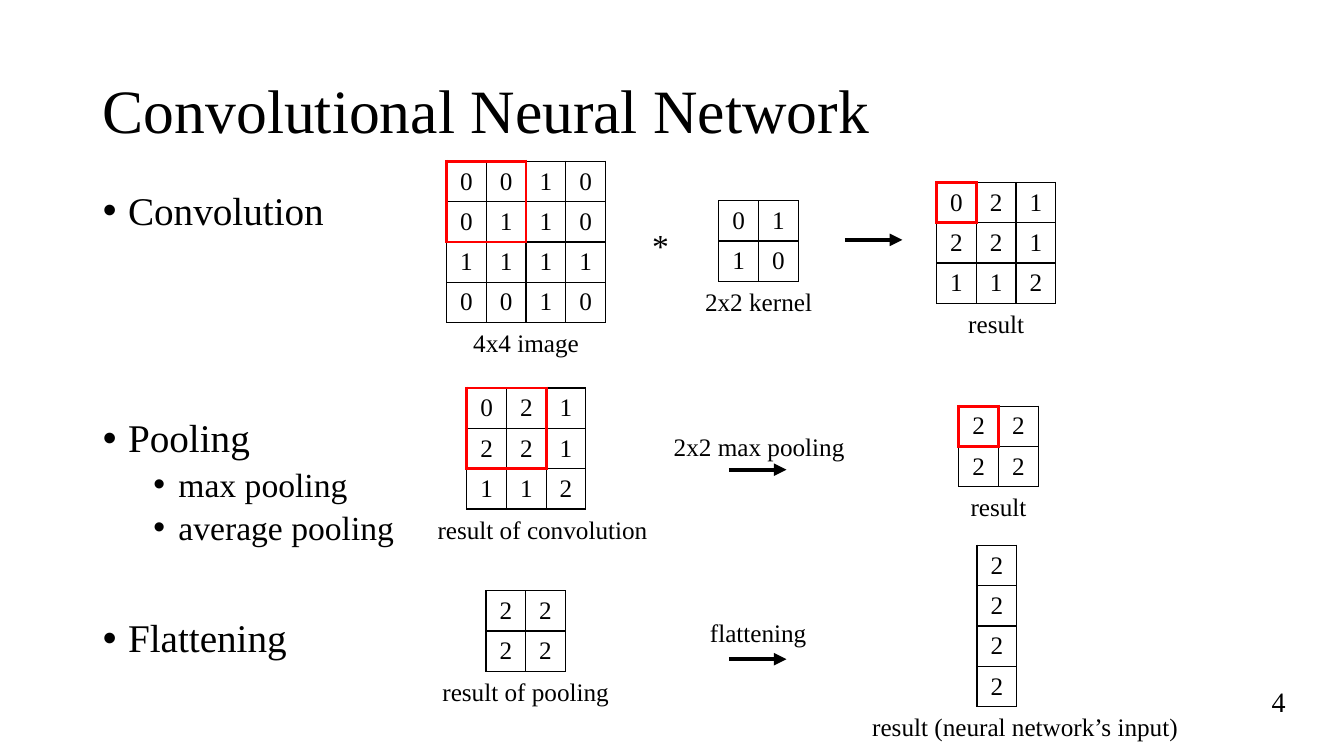
from lxml import etree
from pptx import Presentation
from pptx.dml.color import RGBColor
from pptx.enum.shapes import MSO_CONNECTOR
from pptx.enum.text import MSO_ANCHOR, MSO_AUTO_SIZE, PP_ALIGN
from pptx.oxml.ns import qn
from pptx.util import Inches, Pt

LEFT, CENTER, RIGHT = PP_ALIGN.LEFT, PP_ALIGN.CENTER, PP_ALIGN.RIGHT
TOP, MIDDLE = MSO_ANCHOR.TOP, MSO_ANCHOR.MIDDLE
NO_FIT = MSO_AUTO_SIZE.NONE
STRAIGHT = MSO_CONNECTOR.STRAIGHT
FONT, BLACK, RED = "Times New Roman", "000000", "FF0000"
SLIDE_W, SLIDE_H = 13.33, 7.5
CELL_W, CELL_H = 0.394, 0.4
LABEL_H, ARROW_W = 0.4, 0.57

IMAGE = ["0010", "0110", "1111", "0010"]
KERNEL = ["01", "10"]
CONVOLVED = ["021", "221", "112"]
POOLED = ["22", "22"]
FLAT = ["2"] * 4


def rgb(color):
    """Turn a hex string into a colour."""
    return RGBColor.from_string(color)


def add_run(p, text, size):
    """Add one run in the slide's font."""
    r = p.add_run()
    r.text = text
    r.font.name, r.font.size = FONT, Pt(size)
    r.font.bold = False
    r.font.color.rgb = rgb(BLACK)


def add_label(s, text, box, size=18, align=CENTER, anchor=TOP):
    """Write one line of text in a box."""
    sp = s.shapes.add_textbox(*map(Inches, box))
    tf = sp.text_frame
    tf.word_wrap, tf.vertical_anchor = False, anchor
    tf.paragraphs[0].alignment = align
    add_run(tf.paragraphs[0], text, size)


def add_borders(cell, color, width):
    """Draw the four borders of a cell."""
    tc_pr = cell._tc.get_or_add_tcPr()
    for i, side in enumerate(("lnL", "lnR", "lnT", "lnB")):
        ln = etree.Element(qn(f"a:{side}"), w=str(Pt(width)))
        fill = etree.SubElement(ln, qn("a:solidFill"))
        etree.SubElement(fill, qn("a:srgbClr"), val=color)
        tc_pr.insert(i, ln)


def add_grid(s, rows, left, top, cell_w=CELL_W, cell_h=CELL_H, color=BLACK, width=1):
    """Draw a matrix as a table with equal cells."""
    n_rows, n_cols = len(rows), len(rows[0])
    box = left, top, n_cols * cell_w, n_rows * cell_h
    table = s.shapes.add_table(n_rows, n_cols, *map(Inches, box)).table
    table.first_row = table.horz_banding = False
    for column in table.columns:
        column.width = Inches(cell_w)
    for row, values in zip(table.rows, rows):
        row.height = Inches(cell_h)
        for cell, value in zip(row.cells, values):
            cell.fill.background()
            cell.vertical_anchor = MIDDLE
            cell.margin_left = cell.margin_right = 0
            cell.margin_top = cell.margin_bottom = 0
            add_borders(cell, color, width)
            p = cell.text_frame.paragraphs[0]
            p.alignment = CENTER
            if value:
                add_run(p, value, 18)


def add_matrix(s, rows, left, top, caption, caption_w, window=0, shift=0):
    """Draw a matrix, its caption below and a red window at its corner."""
    add_grid(s, rows, left, top)
    if window:
        add_grid(s, [[""]], left, top, window * CELL_W, window * CELL_H, RED, 2.25)
    middle = left + len(rows[0]) * CELL_W / 2 + shift
    add_label(s, caption, (middle - caption_w / 2, top + len(rows) * CELL_H,
                           caption_w, LABEL_H))


def add_arrow(s, left, y):
    """Draw a short arrow pointing right."""
    c = s.shapes.add_connector(STRAIGHT, *map(Inches, (left, y, left + ARROW_W, y)))
    c.line.color.rgb, c.line.width = rgb(BLACK), Pt(3)
    etree.SubElement(c.line._get_or_add_ln(), qn("a:tailEnd"), type="triangle")
    etree.SubElement(c._element.spPr, qn("a:effectLst"))


def place(sp, box):
    """Move a placeholder to a box and return its text frame."""
    sp.left, sp.top, sp.width, sp.height = map(Inches, box)
    tf = sp.text_frame
    tf.auto_size, tf.word_wrap = NO_FIT, True
    return tf


def add_title(s, box):
    """Fill the title placeholder."""
    tf = place(s.shapes.title, box)
    tf.vertical_anchor = MIDDLE
    p = tf.paragraphs[0]
    p.alignment, p.line_spacing = LEFT, 0.9
    add_run(p, "Convolutional Neural Network", 44)


def add_topics(s, box):
    """Fill the body placeholder with the bulleted topics."""
    tf = place(s.placeholders[1], box)
    tf.vertical_anchor = TOP
    topics = [("Convolution", 0, 0), ("Pooling", 0, 132), ("max pooling", 1, 5),
              ("average pooling", 1, 5), ("Flattening", 0, 51)]
    for i, (text, level, before) in enumerate(topics):
        p = tf.add_paragraph() if i else tf.paragraphs[0]
        p.level, p.alignment, p.line_spacing = level, LEFT, 0.9
        p.space_before, p.space_after = Pt(before), Pt(0)
        p_pr = p._p.get_or_add_pPr()
        p_pr.set("marL", str(Inches(0.25 + 0.5 * level)))
        p_pr.set("indent", str(Inches(-0.25)))
        etree.SubElement(p_pr, qn("a:buFont"), typeface="Arial")
        etree.SubElement(p_pr, qn("a:buChar"), char="•")
        add_run(p, text, 24 if level else 28)


def add_convolution(s, x, y):
    """Show image, kernel and result of a convolution."""
    add_matrix(s, IMAGE, x, y, "4x4 image", 1.26, window=2)
    add_label(s, "*", (x + 1.94, y + 0.58, 0.35, 0.5), 24)
    add_matrix(s, KERNEL, x + 2.7, y + 0.39, "2x2 kernel", 1.31)
    add_arrow(s, x + 3.95, y + 0.78)
    add_matrix(s, CONVOLVED, x + 4.86, y + 0.21, "result", 0.81, window=1)


def add_pooling(s, x, y):
    """Show a max pooling step."""
    add_matrix(s, CONVOLVED, x + 0.2, y, "result of convolution", 2.31,
               window=2, shift=0.16)
    add_label(s, "2x2 max pooling", (x + 2.12, y + 0.38, 1.96, LABEL_H))
    add_arrow(s, x + 2.8, y + 0.81)
    add_matrix(s, POOLED, x + 5.08, y + 0.18, "result", 0.81, window=1)


def add_flattening(s, x, y):
    """Show a matrix flattened to a column."""
    add_matrix(s, POOLED, x + 0.39, y + 0.45, "result of pooling", 1.88)
    add_label(s, "flattening", (x + 2.47, y + 0.67, 1.24, LABEL_H))
    add_arrow(s, x + 2.8, y + 1.13)
    add_matrix(s, FLAT, x + 5.26, y, "result (neural network’s input)", 3.39,
               shift=0.28)


def main():
    """Build and save the slide."""
    prs = Presentation()
    prs.slide_width, prs.slide_height = Inches(SLIDE_W), Inches(SLIDE_H)
    s = prs.slides.add_slide(prs.slide_layouts[1])
    add_title(s, (0.92, 0.4, 11.5, 1.45))
    add_topics(s, (0.92, 1.85, 11.5, 5.65))
    add_label(s, "4", (9.85, 6.76, 3, 0.4), 20, RIGHT, MIDDLE)
    diagram_x = 4.43
    add_convolution(s, diagram_x, 1.6)
    add_pooling(s, diagram_x, 3.85)
    add_flattening(s, diagram_x, 5.41)
    prs.save("out.pptx")


if __name__ == "__main__":
    main()
